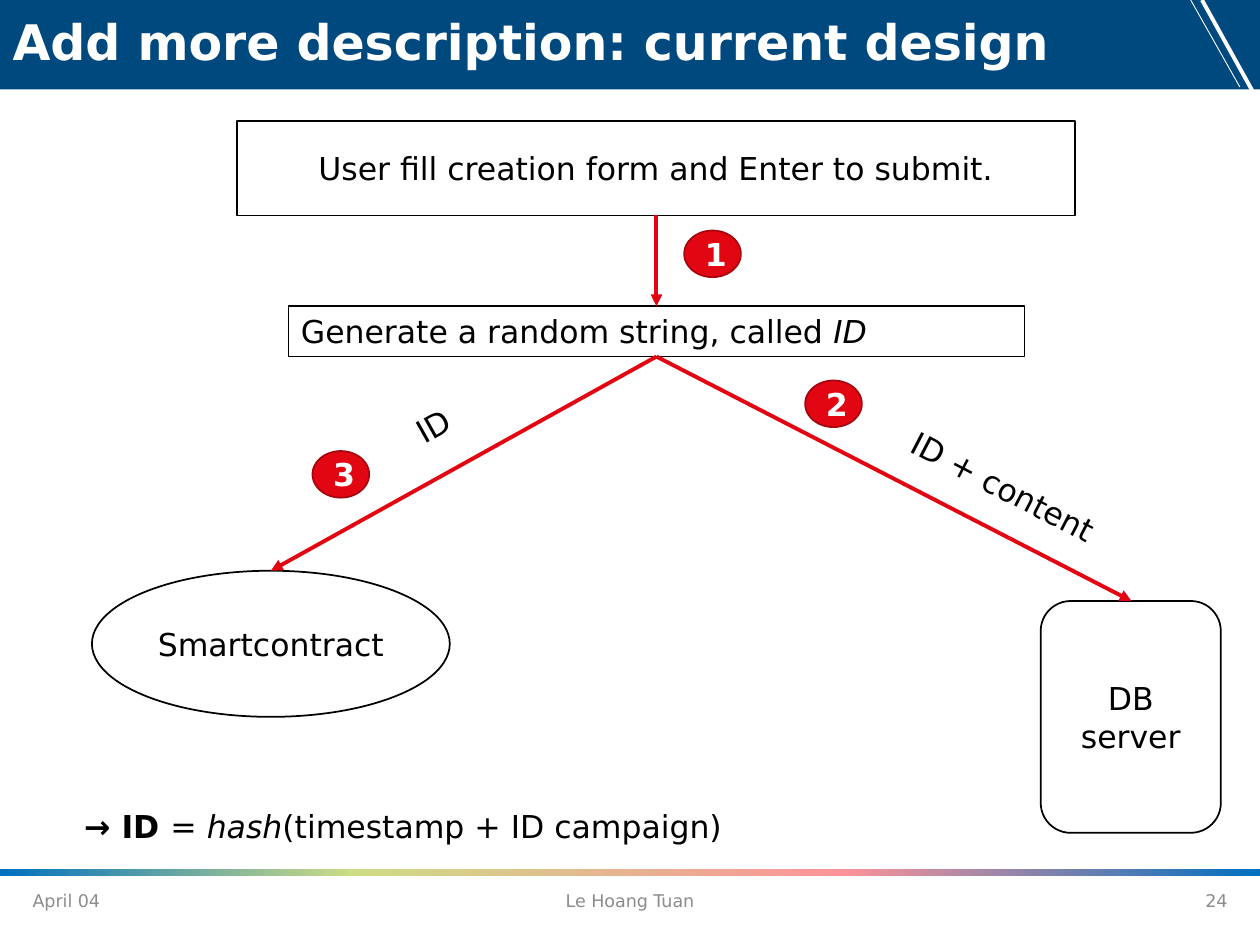
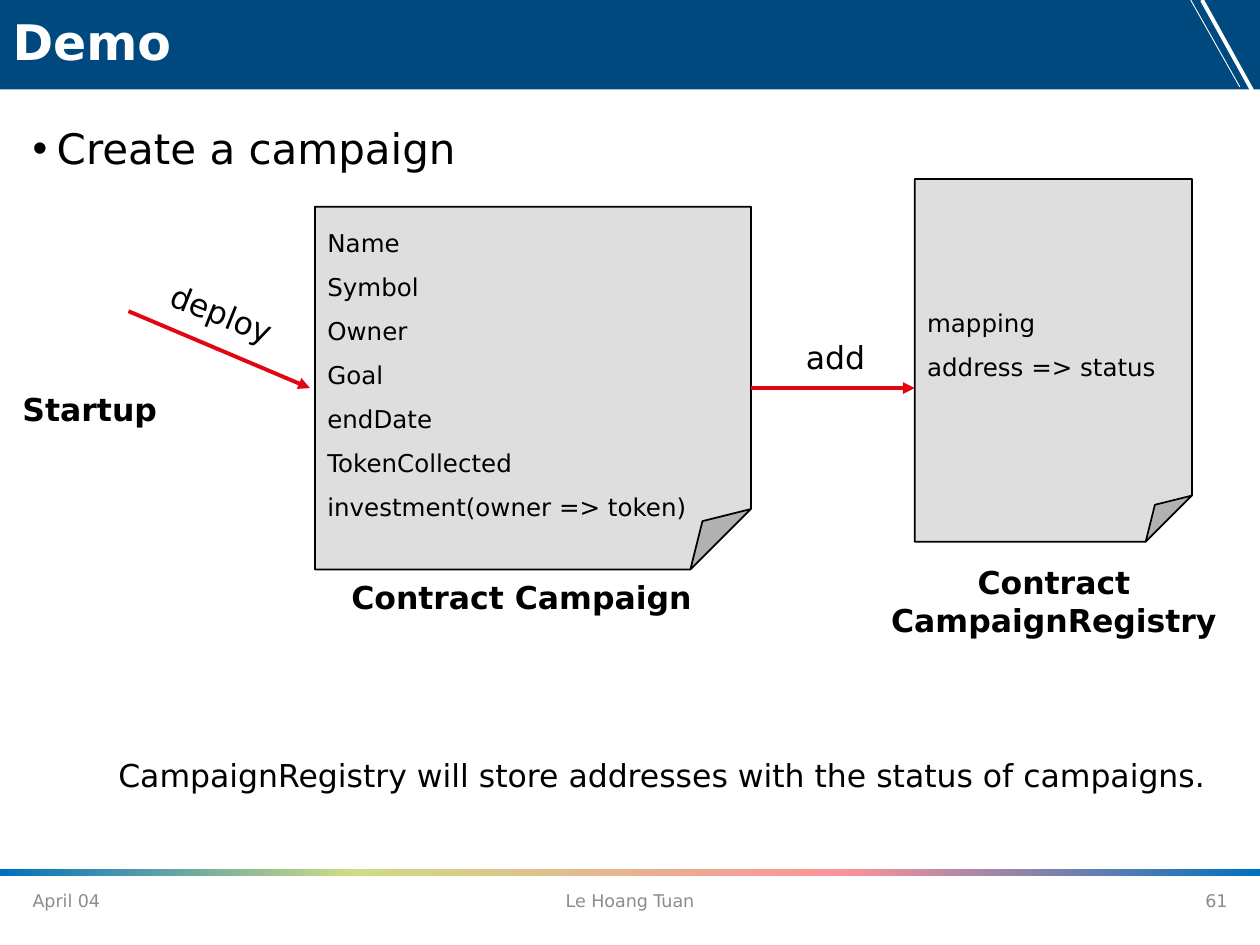
import lxml.etree
import pptx
import pptx.dml.color
import pptx.enum.shapes
import pptx.enum.text
import pptx.oxml.ns
import pptx.util

RGBColor = pptx.dml.color.RGBColor
NAVY = RGBColor(0x00, 0x49, 0x7F)
BLUE = RGBColor(0x00, 0x70, 0xC0)
LIME = RGBColor(0xCD, 0xDC, 0x85)
PINK = RGBColor(0xFC, 0x93, 0x99)
RED = RGBColor(0xE2, 0x06, 0x13)
DARK_RED = RGBColor(0xA7, 0x04, 0x0E)
GREY = RGBColor(0x8C, 0x8C, 0x8C)
PAPER = RGBColor(0xDE, 0xDE, 0xDE)
BLACK = RGBColor(0, 0, 0)
WHITE = RGBColor(255, 255, 255)

FONT = "DejaVu Sans"
COLUMNS, ROWS = 100, 75
CELL = pptx.util.Inches(0.1)
BAND = (0, 0, COLUMNS, 7.1)

SHAPE = pptx.enum.shapes.MSO_SHAPE
LEFT, CENTER, RIGHT = (
    pptx.enum.text.PP_ALIGN.LEFT,
    pptx.enum.text.PP_ALIGN.CENTER,
    pptx.enum.text.PP_ALIGN.RIGHT,
)
TOP = pptx.enum.text.MSO_ANCHOR.TOP
MIDDLE = pptx.enum.text.MSO_ANCHOR.MIDDLE
qn = pptx.oxml.ns.qn


def write(shape, box, paragraphs, size=18, color=BLACK, align=LEFT, anchor=TOP, spacing=None):
    """Place shape on the grid and fill it with paragraphs of (text, "b"/"i" style) runs."""
    shape.left, shape.top, shape.width, shape.height = (round(n * CELL) for n in box)
    frame = shape.text_frame
    frame.word_wrap = True
    frame.auto_size = pptx.enum.text.MSO_AUTO_SIZE.NONE
    frame.vertical_anchor = anchor
    for number, runs in enumerate(paragraphs):
        paragraph = frame.add_paragraph() if number else frame.paragraphs[0]
        paragraph.alignment = align
        paragraph.line_spacing = spacing
        for text, style in runs:
            run = paragraph.add_run()
            run.text = text
            run.font.name = FONT
            run.font.size = pptx.util.Pt(size)
            run.font.color.rgb = color
            run.font.bold = "b" in style
            run.font.italic = "i" in style


def add_line(slide, start, end, color=RED, width=2.25, arrow=True):
    ends = [round(n * CELL) for n in (*start, *end)]
    line = slide.shapes.add_connector(pptx.enum.shapes.MSO_CONNECTOR.STRAIGHT, *ends)
    line.line.color.rgb = color
    line.line.width = pptx.util.Pt(width)
    properties = line.element.spPr
    if arrow:
        lxml.etree.SubElement(properties.find(qn("a:ln")), qn("a:tailEnd"), type="triangle")
    lxml.etree.SubElement(properties, qn("a:effectLst"))
    return line


deck = pptx.Presentation()
deck.slide_width = COLUMNS * CELL
deck.slide_height = ROWS * CELL
design = deck.slides.add_slide(deck.slide_layouts[5])
demo = deck.slides.add_slide(deck.slide_layouts[1])

# Bands and slanted lines shared through the master
title_band = design.shapes.add_shape(SHAPE.RECTANGLE, 0, 0, 0, 0)
title_band.fill.solid()
title_band.fill.fore_color.rgb = NAVY
write(title_band, BAND, [])

rainbow = design.shapes.add_shape(SHAPE.RECTANGLE, 0, 0, 0, 0)
rainbow.fill.gradient()
rainbow.fill.gradient_angle = 0
write(rainbow, (0, 69, COLUMNS, 0.5), [])
stops = rainbow.element.spPr.find(".//" + qn("a:gsLst"))
stops.clear()
for percent, color in ((0, BLUE), (28, LIME), (67, PINK), (100, BLUE)):
    stop = lxml.etree.SubElement(stops, qn("a:gs"), pos=str(percent * 1000))
    lxml.etree.SubElement(stop, qn("a:srgbClr"), val=str(color))

for band in (title_band, rainbow):
    band.line.fill.background()
    band.shadow.inherit = False
thin_slant = add_line(design, (94.5, 0), (98.4, 6.9), WHITE, 0.5, arrow=False)
thick_slant = add_line(design, (95.4, 0), (100, 8.3), WHITE, arrow=False)
for decoration in (title_band, rainbow, thin_slant, thick_slant):
    deck.slide_master.shapes.element.append(decoration.element)

# Titles and footers
for slide, title, page in (
    (design, "Add more description: current design", "24"),
    (demo, "Demo", "61"),
):
    write(slide.shapes.title, BAND, [[(title, "b")]], 28, WHITE, anchor=MIDDLE, spacing=0.9)
    slide.shapes.title.text_frame.paragraphs[0].space_before = pptx.util.Pt(7.5)
    for left, width, text, align in (
        (1.6, 22.5, "April 04", LEFT),
        (33.1, 33.8, "Le Hoang Tuan", CENTER),
        (75.9, 22.5, page, RIGHT),
    ):
        footer = slide.shapes.add_textbox(0, 0, 0, 0)
        write(footer, (left, 69.5, width, 4), [[(text, "")]], 10, GREY, align, MIDDLE)

# Current design: steps, flows and their numbers
for kind, box, runs, align, outline in (
    (SHAPE.RECTANGLE, (18.8, 9.6, 66.5, 7.5),
     [("User fill creation form and Enter to submit.", "")], CENTER, 1),
    (SHAPE.RECTANGLE, (22.9, 24.3, 58.4, 4),
     [("Generate a random string, called ", ""), ("ID", "i")], LEFT, 0.75),
    (SHAPE.OVAL, (7.3, 45.3, 28.4, 11.6), [("Smartcontract", "")], CENTER, 1),
    (SHAPE.ROUNDED_RECTANGLE, (82.6, 47.7, 14.3, 18.4), [("DB server", "")], CENTER, 1),
):
    step = design.shapes.add_shape(kind, 0, 0, 0, 0)
    step.shadow.inherit = False
    step.fill.background()
    step.line.color.rgb = BLACK
    step.line.width = pptx.util.Pt(outline)
    write(step, box, [runs], align=align, anchor=MIDDLE)

split = (52.1, 28.3)
for start, end in (
    ((52.1, 17.1), (52.1, 24.3)),
    (split, (21.5, 45.3)),
    (split, (89.8, 47.7)),
):
    add_line(design, start, end)

for number, left, top in (("1", 54.3, 18.3), ("2", 63.9, 30.2), ("3", 24.8, 35.8)):
    badge = design.shapes.add_shape(SHAPE.OVAL, 0, 0, 0, 0)
    badge.shadow.inherit = False
    badge.fill.solid()
    badge.fill.fore_color.rgb = RED
    badge.line.color.rgb = DARK_RED
    badge.line.width = pptx.util.Pt(1)
    write(badge, (left, top, 4.5, 3.7), [[(number, "b")]], 18, WHITE, CENTER, MIDDLE)

# Demo: bullet, contracts and flows
campaign_bullet = demo.placeholders[1]
write(campaign_bullet, (1.6, 8.7, 96.9, 5.5), [[("Create a campaign", "")]], 24, spacing=1.14)
bullet = campaign_bullet.text_frame.paragraphs[0]
bullet.space_before = bullet.space_after = pptx.util.Pt(6)
hanging = round(1.9 * CELL)
bullet_properties = bullet._p.get_or_add_pPr()
bullet_properties.set("marL", str(hanging))
bullet_properties.set("indent", str(-hanging))
lxml.etree.SubElement(bullet_properties, qn("a:buChar"), char="•")

campaign_fields = ("Name", "Symbol", "Owner", "Goal", "endDate", "TokenCollected",
                   "investment(owner => token)")
registry_fields = ("mapping", "address => status")
for box, fields, anchor in (
    ((25, 16.4, 34.6, 28.8), campaign_fields, TOP),
    ((72.6, 14.2, 22, 28.8), registry_fields, MIDDLE),
):
    contract = demo.shapes.add_shape(SHAPE.FOLDED_CORNER, 0, 0, 0, 0)
    contract.shadow.inherit = False
    contract.fill.solid()
    contract.fill.fore_color.rgb = PAPER
    contract.line.color.rgb = BLACK
    contract.line.width = pptx.util.Pt(1)
    write(contract, box, [[(field, "")] for field in fields], 14, anchor=anchor, spacing=1.5)

add_line(demo, (10.2, 24.7), (24.6, 30.8))
add_line(demo, (59.6, 30.8), (72.6, 30.8))

# Labels and remarks on both slides
for slide, box, runs, align, rotation in (
    (design, (67.1, 36.6, 25, 4), [("ID + content", "")], CENTER, 27.4),
    (design, (26.5, 31.8, 15.7, 4), [("ID", "")], CENTER, 330.6),
    (design, (5.7, 63.6, 82.7, 4),
     [("→ ID ", "b"), ("= ", ""), ("hash", "i"), ("(timestamp + ID campaign)", "")], LEFT, 0),
    (demo, (8.4, 59.5, 89.8, 4),
     [("CampaignRegistry will store addresses with the status of campaigns.", "")], LEFT, 0),
    (demo, (24.1, 45.4, 34.6, 4), [("Contract Campaign", "b")], CENTER, 0),
    (demo, (69, 44.2, 29.3, 7.1), [("Contract CampaignRegistry", "b")], CENTER, 0),
    (demo, (0.8, 30.5, 13.2, 4), [("Startup", "b")], LEFT, 0),
    (demo, (12.3, 23.4, 13.2, 4), [("deploy", "")], LEFT, 21.8),
    (demo, (60.4, 26.3, 11.8, 4), [("add", "")], CENTER, 0),
):
    label = slide.shapes.add_textbox(0, 0, 0, 0)
    write(label, box, [runs], align=align)
    label.rotation = rotation

deck.save("out.pptx")
